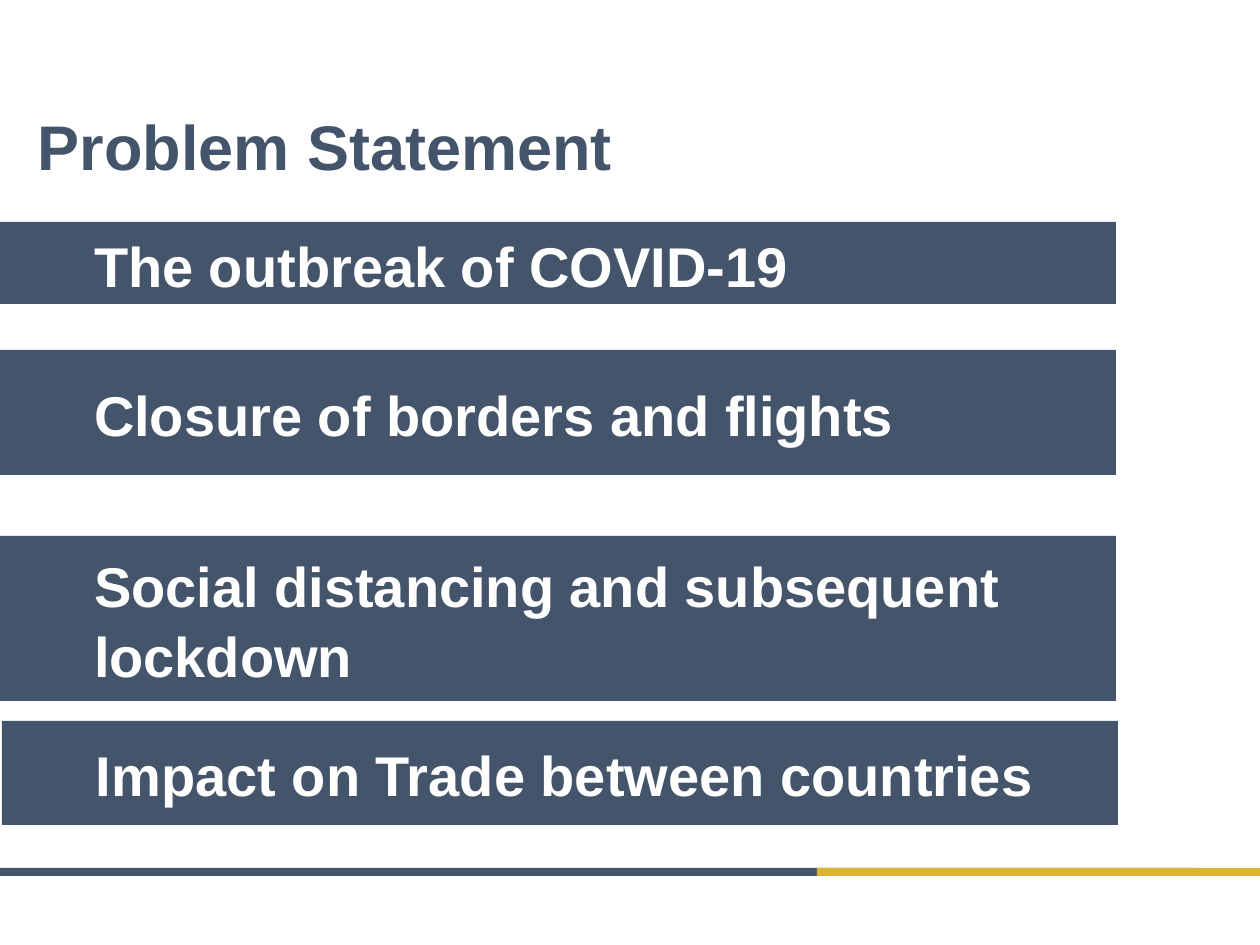
from pptx import Presentation
from pptx.dml.color import RGBColor
from pptx.enum.shapes import MSO_SHAPE
from pptx.enum.text import MSO_ANCHOR, PP_ALIGN
from pptx.util import Pt

RECTANGLE = MSO_SHAPE.RECTANGLE
MIDDLE = MSO_ANCHOR.MIDDLE
LEFT = PP_ALIGN.LEFT

PX = 914400 // 126
COLORS = {"slate": "44546A", "gold": "DCB434", "white": "FFFFFF"}
FONT = "Arial"
TITLE_ONLY = 5

PROBLEMS = [
    ("The outbreak of COVID-19", (0, 222, 1116, 82)),
    ("Closure of borders and flights", (0, 350, 1116, 125)),
    ("Social distancing and subsequent lockdown", (0, 536, 1116, 165)),
    ("Impact on Trade between countries", (2, 721, 1116, 104)),
]


def color(name):
    return RGBColor.from_string(COLORS[name])


def emu(box):
    return [length * PX for length in box]


def set_text(shape, text, size, color_name, margins):
    """Write one bold, left-aligned paragraph; margins run left, top, right, bottom."""
    frame = shape.text_frame
    frame.word_wrap = True
    frame.vertical_anchor = MIDDLE
    (frame.margin_left, frame.margin_top,
     frame.margin_right, frame.margin_bottom) = emu(margins)
    paragraph = frame.paragraphs[0]
    paragraph.text = text
    paragraph.alignment = LEFT
    paragraph.space_before = Pt(0)
    paragraph.line_spacing = 1.05 if shape.is_placeholder is False else 1.0
    font = paragraph.font
    font.name, font.size, font.bold = FONT, Pt(size), True
    font.color.rgb = color(color_name)


def add_bar(slide, box, fill):
    bar = slide.shapes.add_shape(RECTANGLE, *emu(box))
    bar.shadow.inherit = False
    bar.fill.solid()
    bar.fill.fore_color.rgb = color(fill)
    bar.line.fill.background()
    return bar


def add_footer_rule(slide, box):
    """Draw a slate rule with a gold stretch over its right end."""
    left, top, width, height = box
    gold_start = 817
    add_bar(slide, (left, top, 1193, height), "slate")
    add_bar(slide, (left + gold_start, top, width - gold_start, height), "gold")


def add_problem(slide, box, text):
    bar = add_bar(slide, box, "slate")
    set_text(bar, text, 32, "white", (94, 6, 35, 6))


def place_title(slide, box, text):
    title = slide.shapes.title
    title.left, title.top, title.width, title.height = emu(box)
    set_text(title, text, 36, "slate", (13, 6, 13, 6))


def main():
    deck = Presentation()
    deck.slide_width, deck.slide_height = emu((1260, 945))
    slide = deck.slides.add_slide(deck.slide_layouts[TITLE_ONLY])
    place_title(slide, (25, 111, 1121, 68), "Problem Statement")
    add_footer_rule(slide, (0, 868, 1260, 8))
    for text, box in PROBLEMS:
        add_problem(slide, box, text)
    deck.save("out.pptx")


if __name__ == "__main__":
    main()
